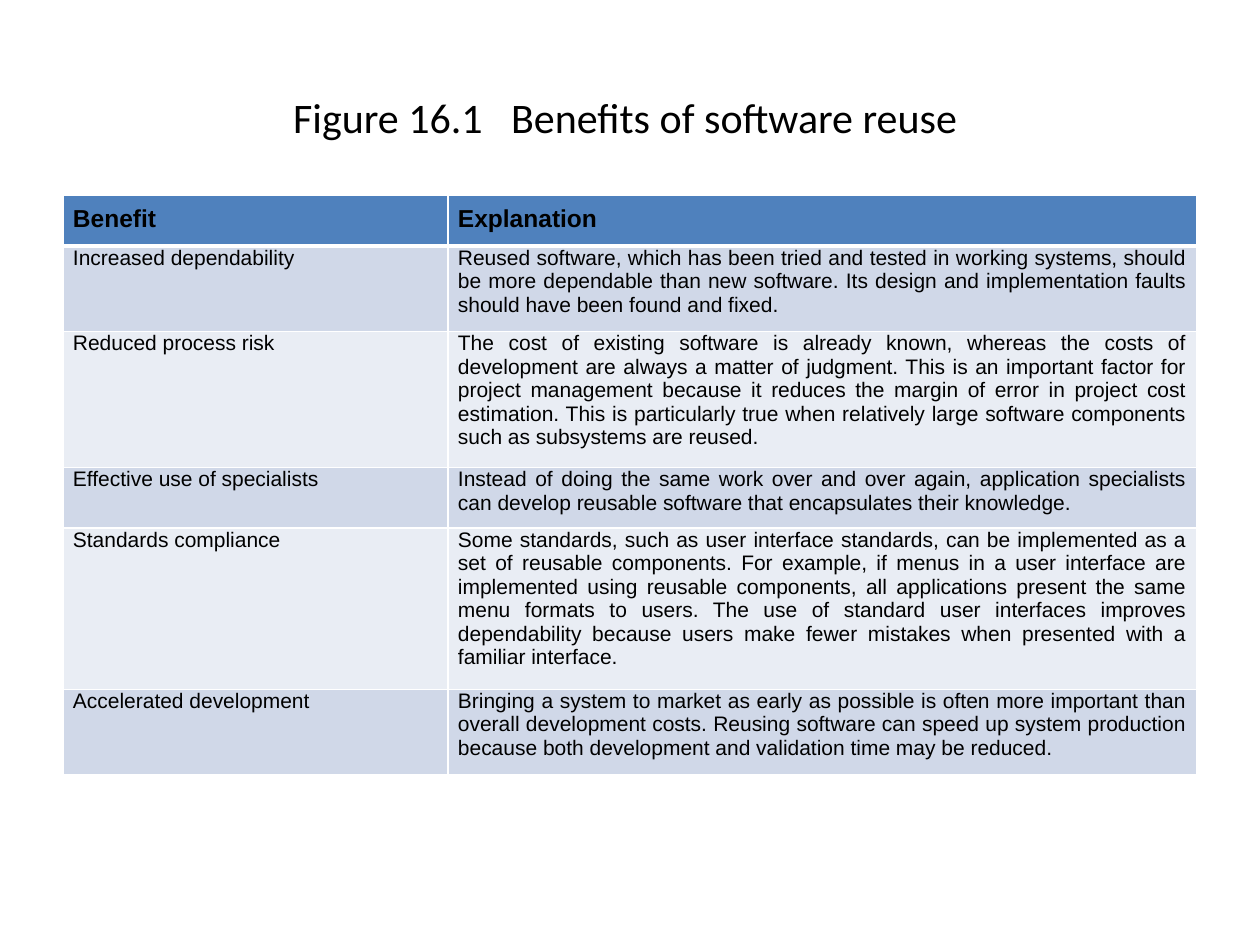
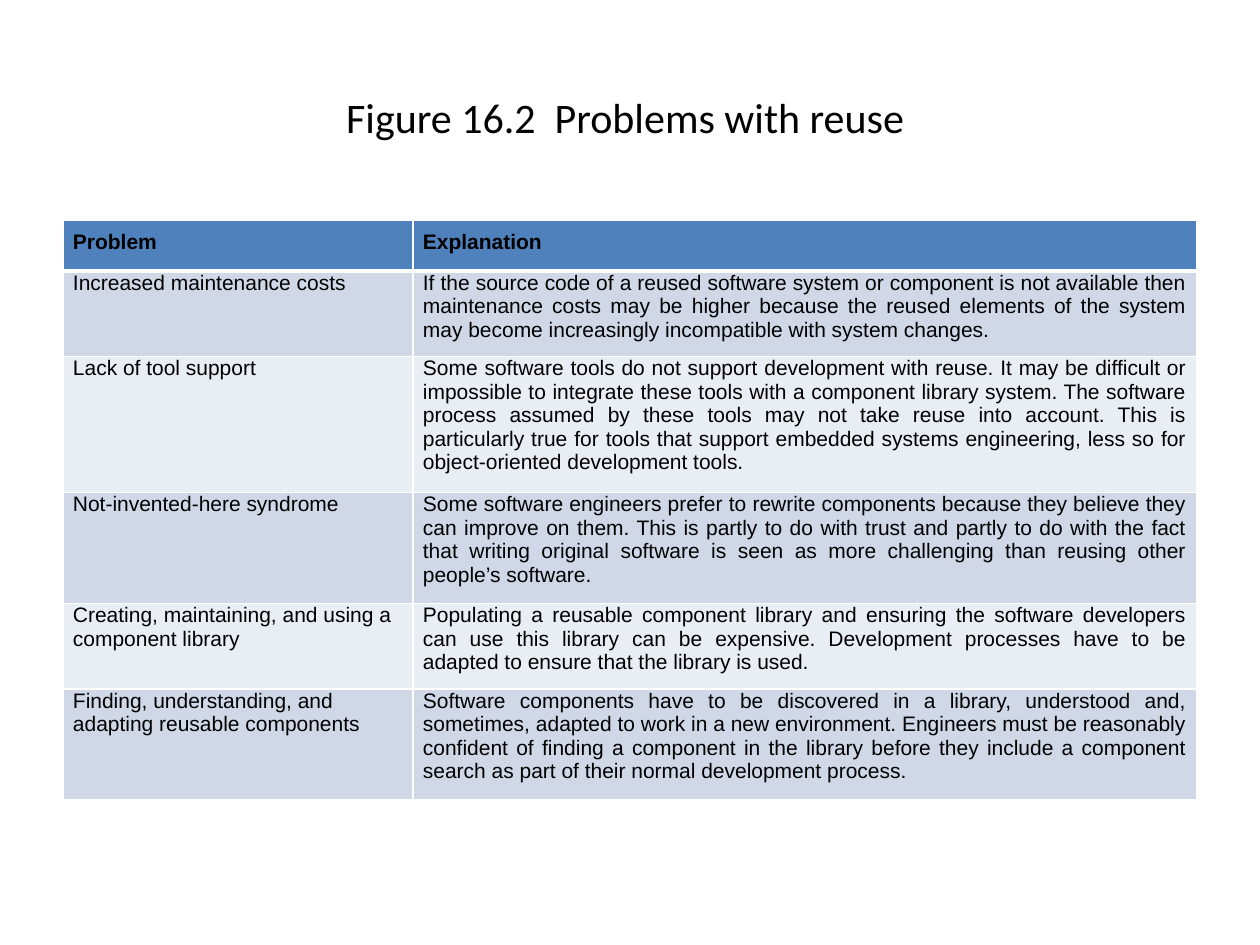
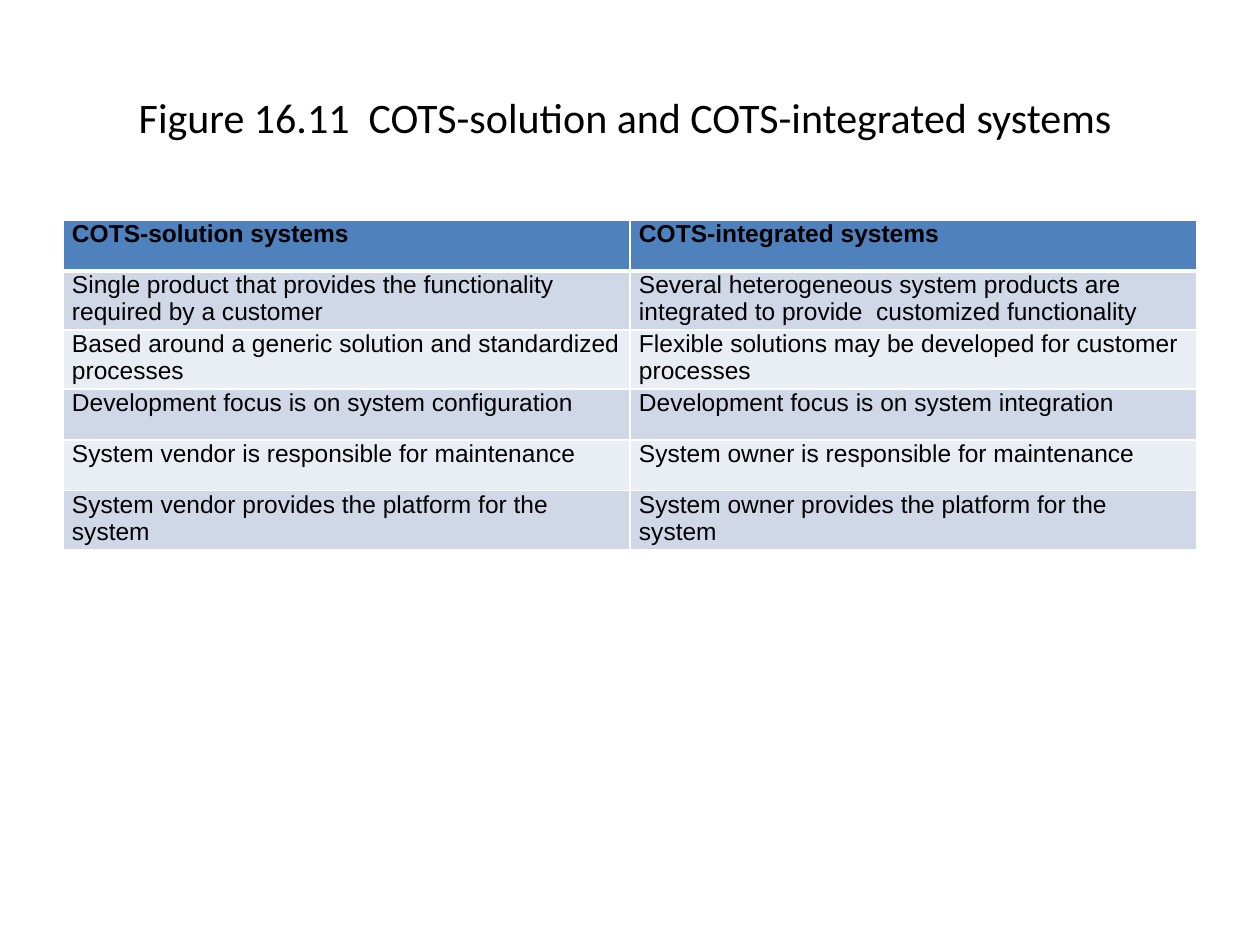
from dataclasses import dataclass

from lxml.etree import SubElement
from pptx import Presentation
from pptx.dml.color import RGBColor
from pptx.enum.text import MSO_ANCHOR, PP_ALIGN
from pptx.oxml.ns import qn
from pptx.util import Emu, Pt

EMU_PER_PIXEL = 914400 / 126


@dataclass(frozen=True)
class Theme:
    """Colours, fonts and type sizes of all slides."""
    ink: str = "000000"
    line: str = "FFFFFF"
    header: str = "4F81BD"
    bands: tuple = ("D0D8E8", "E9EDF4")
    title_font: str = "Calibri"
    table_font: str = "Arial"
    title_size: int = 24
    large_size: int = 14
    small_size: int = 12
    thin_line: int = 1
    thick_line: int = 3


THEME = Theme()


def px(length):
    """Turn whole pixels into EMU."""
    return Emu(round(length * EMU_PER_PIXEL))


def write(frame, text, font=THEME.table_font, size=THEME.small_size, bold=False,
          align=PP_ALIGN.LEFT, before=0, after=0):
    """Put one formatted paragraph into a text frame."""
    paragraph = frame.paragraphs[0]
    paragraph.alignment = align
    paragraph.space_before, paragraph.space_after = Pt(before), Pt(after)
    run = paragraph.add_run()
    run.text = text
    run.font.name, run.font.size, run.font.bold = font, Pt(size), bold
    run.font.color.rgb = RGBColor.from_string(THEME.ink)


def set_borders(cell, top, bottom):
    """Draw the four cell borders, with given top and bottom widths."""
    properties = cell._tc.get_or_add_tcPr()
    widths = {"lnL": THEME.thin_line, "lnR": THEME.thin_line, "lnT": top, "lnB": bottom}
    for position, (side, width) in enumerate(widths.items()):
        line = SubElement(properties, qn(f"a:{side}"), w=str(Pt(width)))
        fill = SubElement(line, qn("a:solidFill"))
        SubElement(fill, qn("a:srgbClr"), val=THEME.line)
        properties.insert(position, line)


class Deck:
    """Holds the presentation, the shared style and the current slide."""

    LEFT, WIDTH, ROW_HEIGHT = 63, 1134, 51

    def __init__(self):
        """Start an empty 10 by 7.5 inch presentation."""
        self.presentation = Presentation()
        self.presentation.slide_width = px(1260)
        self.presentation.slide_height = px(945)
        self.slide = None

    def add_slide(self, title):
        """Add a blank slide with its centred title."""
        self.slide = self.presentation.slides.add_slide(self.presentation.slide_layouts[6])
        box = self.slide.shapes.add_textbox(px(self.LEFT), px(38), px(self.WIDTH), px(157))
        box.text_frame.word_wrap = True
        box.text_frame.vertical_anchor = MSO_ANCHOR.MIDDLE
        write(box.text_frame, title, font=THEME.title_font, size=THEME.title_size,
              align=PP_ALIGN.CENTER)

    def add_table(self, rows, top, height, first_width, cell_format):
        """Add a banded two-column table; cell_format(row, column) gives insets and text format."""
        shape = self.slide.shapes.add_table(len(rows), 2, px(self.LEFT), px(top), px(self.WIDTH),
                                            px(self.ROW_HEIGHT * len(rows)))
        shape.height = px(height)
        table = shape.table
        for column, width in zip(table.columns, (first_width, self.WIDTH - first_width)):
            column.width = px(width)
        for row, texts in enumerate(rows):
            for column, text in enumerate(texts):
                insets, text_format = cell_format(row, column)
                self.fill_cell(table.cell(row, column), row, text, insets, text_format)

    def fill_cell(self, cell, row, text, insets, text_format):
        """Colour, border and write one table cell."""
        colour = THEME.bands[(row - 1) % 2] if row else THEME.header
        cell.fill.solid()
        cell.fill.fore_color.rgb = RGBColor.from_string(colour)
        set_borders(cell, top=THEME.thick_line if row == 1 else THEME.thin_line,
                    bottom=THEME.thin_line if row else THEME.thick_line)
        side, top, bottom = insets
        cell.margin_left = cell.margin_right = px(side)
        cell.margin_top, cell.margin_bottom = px(top), px(bottom)
        write(cell.text_frame, text, bold=row == 0, **text_format)


def explanation_format(header_size, label_align):
    """Make the cell format of a table with terms and explanations."""
    def cell_format(row, column):
        """Give insets and text format of one cell."""
        is_label = row > 0 and column == 0
        return (10, 0 if row else 10, 10), {
            "size": THEME.small_size if row else header_size,
            "align": label_align if is_label else PP_ALIGN.JUSTIFY}
    return cell_format


def comparison_format(row, column):
    """Give insets and text format of one cell in the comparison table."""
    return (9, 0, 0), {"size": THEME.large_size,
                       "align": PP_ALIGN.LEFT if row else PP_ALIGN.JUSTIFY,
                       "before": 3 if row < 2 else 0, "after": 6 if row else 3}


BENEFITS = [
    ("Benefit", "Explanation"),
    ("Increased dependability",
     "Reused software, which has been tried and tested in working systems, should be more "
     "dependable than new software. Its design and implementation faults should have been "
     "found and fixed. "),
    ("Reduced process risk",
     "The cost of existing software is already known, whereas the costs of development are "
     "always a matter of judgment. This is an important factor for project management because "
     "it reduces the margin of error in project cost estimation. This is particularly true when "
     "relatively large software components such as subsystems are reused."),
    ("Effective use of specialists",
     "Instead of doing the same work over and over again, application specialists can develop "
     "reusable software that encapsulates their knowledge."),
    ("Standards compliance",
     "Some standards, such as user interface standards, can be implemented as a set of reusable "
     "components. For example, if menus in a user interface are implemented using reusable "
     "components, all applications present the same menu formats to users. The use of standard "
     "user interfaces improves dependability because users make fewer mistakes when presented "
     "with a familiar interface."),
    ("Accelerated development",
     "Bringing a system to market as early as possible is often more important than overall "
     "development costs. Reusing software can speed up system production because both "
     "development and validation time may be reduced."),
]

PROBLEMS = [
    ("Problem", "Explanation"),
    ("Increased maintenance costs",
     "If the source code of a reused software system or component is not available then "
     "maintenance costs may be higher because the reused elements of the system may become "
     "increasingly incompatible with system changes."),
    ("Lack of tool support",
     "Some software tools do not support development with reuse. It may be difficult or "
     "impossible to integrate these tools with a component library system. The software process "
     "assumed by these tools may not take reuse into account. This is particularly true for "
     "tools that support embedded systems engineering, less so for object-oriented development "
     "tools."),
    ("Not-invented-here syndrome",
     "Some software engineers prefer to rewrite components because they believe they can improve "
     "on them. This is partly to do with trust and partly to do with the fact that writing "
     "original software is seen as more challenging than reusing other people\u2019s software."),
    ("Creating, maintaining, and using a component library",
     "Populating a reusable component library and ensuring the software developers can use this "
     "library can be expensive. Development processes have to be adapted to ensure that the "
     "library is used. "),
    ("Finding, understanding, and adapting reusable components",
     "Software components have to be discovered in a library, understood and, sometimes, adapted "
     "to work in a new environment. Engineers must be reasonably confident of finding a "
     "component in the library before they include a component search as part of their normal "
     "development process. "),
]

SYSTEMS = [
    ("COTS-solution systems", "COTS-integrated systems"),
    ("Single product that provides the functionality required by a customer",
     "Several heterogeneous system products are integrated to provide  customized functionality"),
    ("Based around a generic solution and standardized processes",
     "Flexible solutions may be developed for customer processes"),
    ("Development focus is on system configuration",
     "Development focus is on system integration"),
    ("System vendor is responsible for maintenance",
     "System owner is responsible for maintenance"),
    ("System vendor provides the platform for the system",
     "System owner provides the platform for the system"),
]


def main():
    """Build the three slides and save them."""
    deck = Deck()

    deck.add_slide("Figure 16.1   Benefits of software reuse ")
    deck.add_table(BENEFITS, top=195, height=580, first_width=385,
                   cell_format=explanation_format(THEME.large_size, PP_ALIGN.JUSTIFY))

    deck.add_slide("Figure 16.2  Problems with reuse ")
    deck.add_table(PROBLEMS, top=220, height=580, first_width=350,
                   cell_format=explanation_format(THEME.small_size, PP_ALIGN.LEFT))

    deck.add_slide("Figure 16.11  COTS-solution and COTS-integrated systems ")
    deck.add_table(SYSTEMS, top=220, height=330, first_width=567,
                   cell_format=comparison_format)

    deck.presentation.save("out.pptx")


main()
